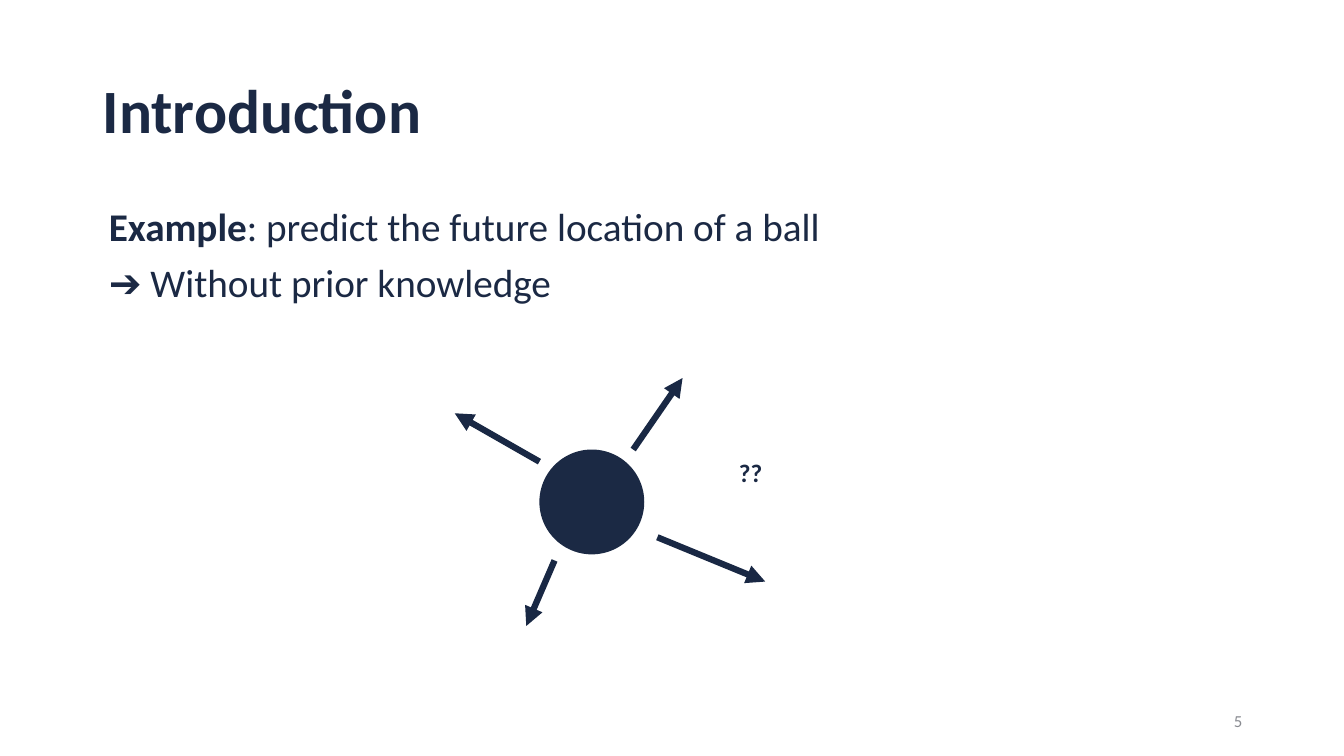
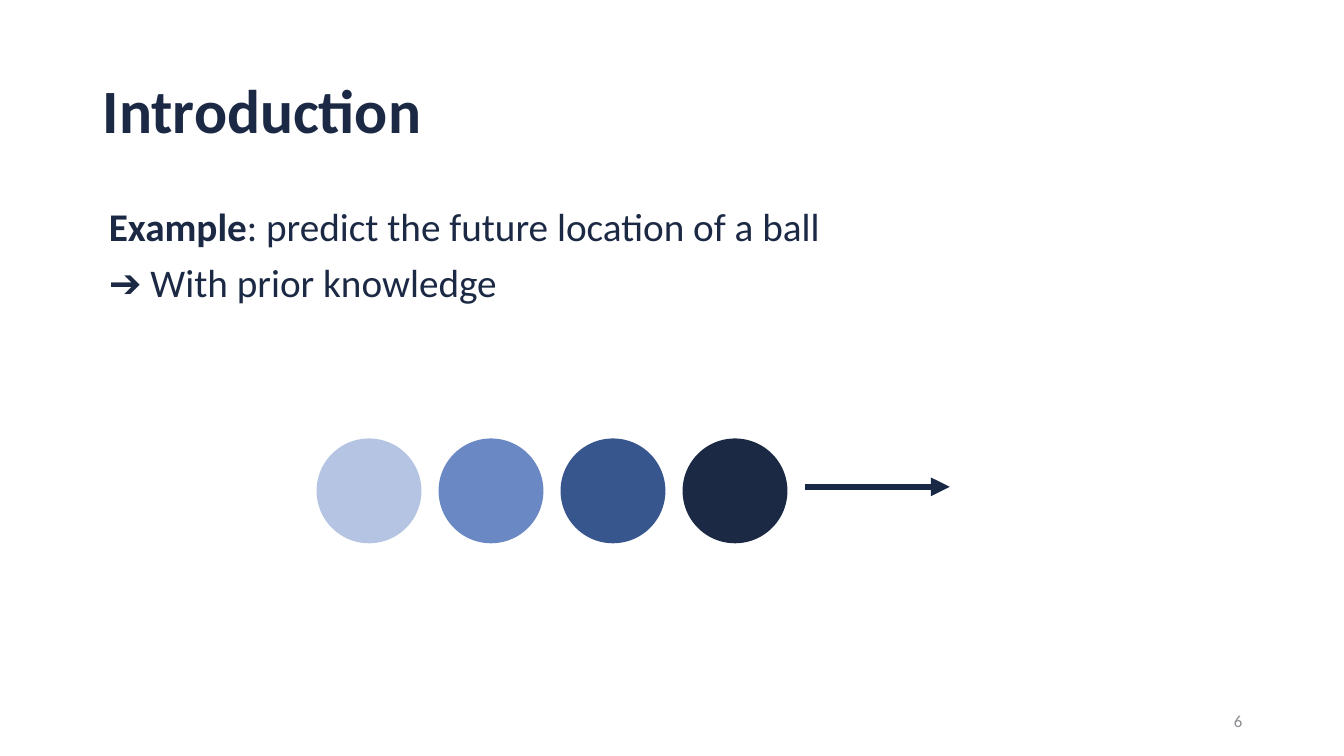
from lxml import etree
from pptx import Presentation
from pptx.dml.color import RGBColor
from pptx.enum.shapes import MSO_CONNECTOR, MSO_SHAPE
from pptx.enum.text import MSO_ANCHOR, PP_ALIGN
from pptx.oxml.ns import qn
from pptx.util import Emu, Pt

STRAIGHT = MSO_CONNECTOR.STRAIGHT
OVAL = MSO_SHAPE.OVAL
TOP, MIDDLE = MSO_ANCHOR.TOP, MSO_ANCHOR.MIDDLE
LEFT, RIGHT = PP_ALIGN.LEFT, PP_ALIGN.RIGHT

EMU_PER_PX = 9144  # 100 px to the inch
FONT = "Calibri"
NAVY, ARROW_NAVY, GREY = "1B2944", "192844", "898B91"
TRAIL_COLOURS = ["B5C4E2", "6A89C4", "38568E", NAVY]
BALL_SIZE = 104


def px(length):
    return Emu(length * EMU_PER_PX)


def colour(value):
    return RGBColor.from_string(value)


class Deck:
    """Holds the shared style and the slide being drawn."""

    def __init__(self):
        self.deck = Presentation()
        self.deck.slide_width, self.deck.slide_height = px(1333), px(750)
        self.page = None

    def style(self, paragraph, size, shade=NAVY, bold=False):
        for span in paragraph.runs:
            span.font.name, span.font.size = FONT, Pt(size)
            span.font.bold = bold
            span.font.color.rgb = colour(shade)

    def text(self, left, top, width, height, words, size, shade=NAVY,
             bold=False, anchor=MIDDLE, align=LEFT, spacing=1.0, wrap=True):
        box = self.page.shapes.add_textbox(px(left), px(top), px(width), px(height))
        frame = box.text_frame
        frame.word_wrap, frame.vertical_anchor = wrap, anchor
        frame.text = words
        for para in frame.paragraphs:
            para.alignment, para.line_spacing = align, spacing
            self.style(para, size, shade, bold)
        return frame

    def example_page(self, number, approach):
        """Start a slide with its title, example text and page number."""
        self.page = self.deck.slides.add_slide(self.deck.slide_layouts[6])
        self.text(92, 40, 1150, 145, "Introduction", 44, bold=True, spacing=0.9)
        body = self.text(92, 201, 1150, 467, f"Example\n➔ {approach}", 28,
                         anchor=TOP, spacing=0.9)
        body.margin_left = px(16)
        example, answer = body.paragraphs
        example.add_run().text = ": predict the future location of a ball"
        self.style(example, 28)
        example.runs[0].font.bold = True
        answer.space_before = Pt(10)
        self.text(942, 695, 300, 40, str(number), 12, GREY, align=RIGHT)

    def ball(self, left, top, shade=NAVY):
        shape = self.page.shapes.add_shape(
            OVAL, px(left), px(top), px(BALL_SIZE), px(BALL_SIZE))
        shape.shadow.inherit = False
        shape.fill.solid()
        shape.fill.fore_color.rgb = colour(shade)
        shape.line.fill.background()

    def arrow(self, start, end):
        points = [px(length) for length in (*start, *end)]
        connector = self.page.shapes.add_connector(STRAIGHT, *points)
        connector.line.width = Pt(4.5)
        connector.line.color.rgb = colour(ARROW_NAVY)
        properties = connector.element.spPr
        etree.SubElement(properties.find(qn("a:ln")), qn("a:tailEnd"), type="triangle")
        etree.SubElement(properties, qn("a:effectLst"))


def without_knowledge(deck):
    deck.example_page(5, "Without prior knowledge")
    deck.ball(535, 446)
    for start, end in [((628, 446), (677, 375)), ((652, 533), (759, 577)),
                       ((535, 458), (451, 410)), ((550, 556), (522, 621))]:
        deck.arrow(start, end)
    deck.text(723, 449, 49, 40, "??", 18, bold=True, anchor=TOP, wrap=False)


def with_knowledge(deck):
    deck.example_page(6, "With prior knowledge")
    for index, shade in enumerate(TRAIL_COLOURS):
        deck.ball(314 + 121 * index, 435, shade)
    deck.arrow((798, 483), (942, 483))


def main():
    deck = Deck()
    without_knowledge(deck)
    with_knowledge(deck)
    deck.deck.save("out.pptx")


if __name__ == "__main__":
    main()
